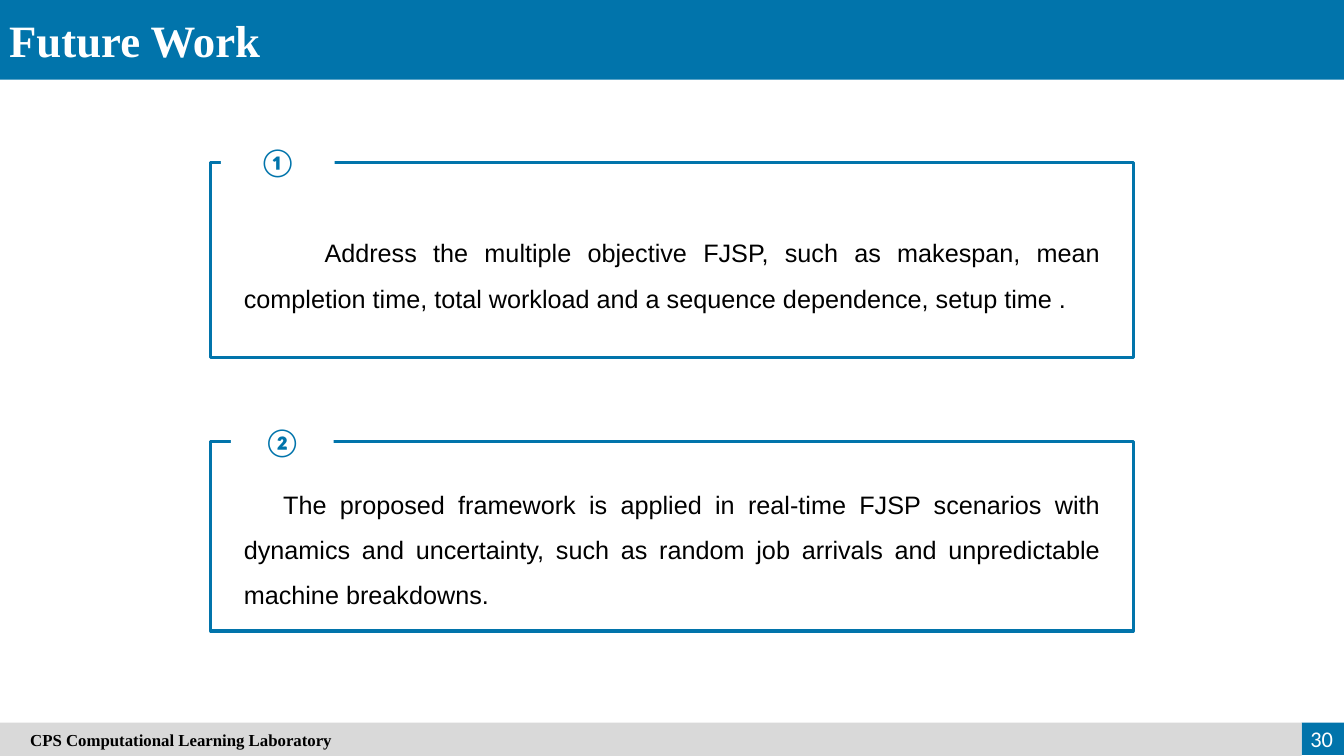
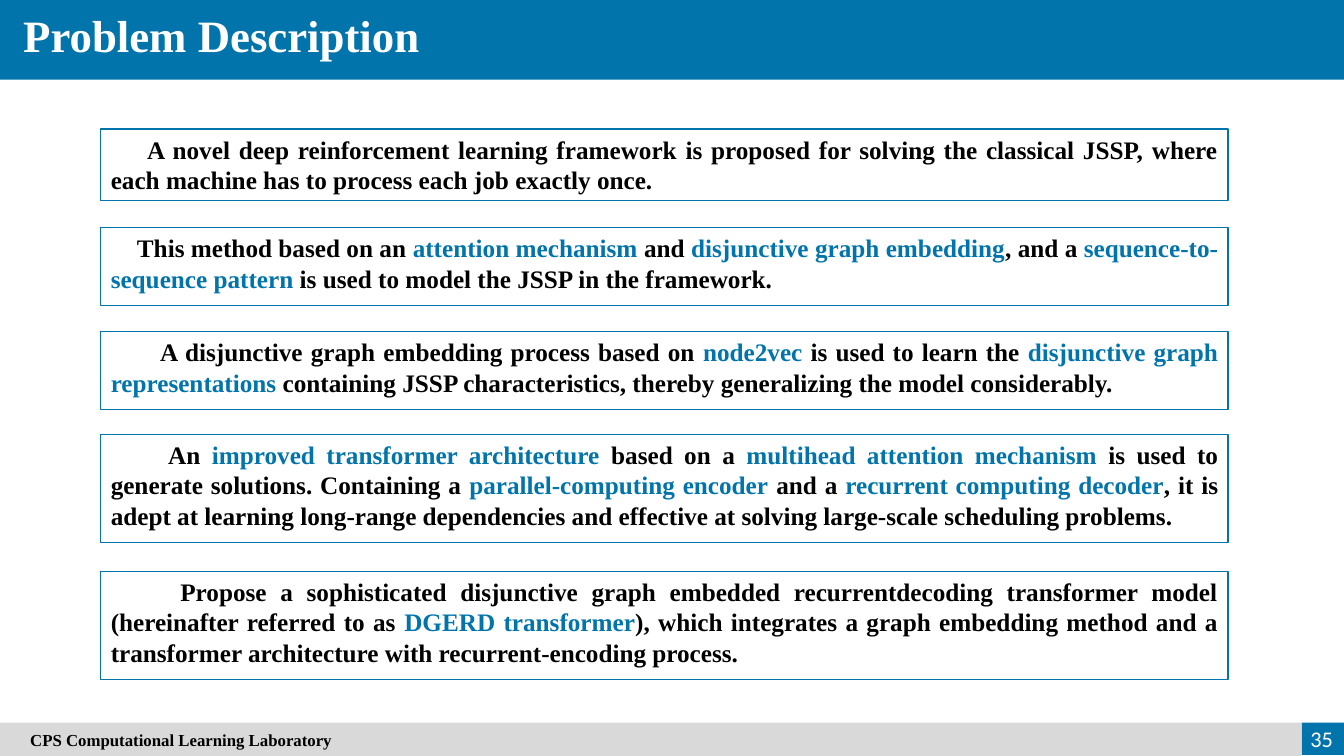
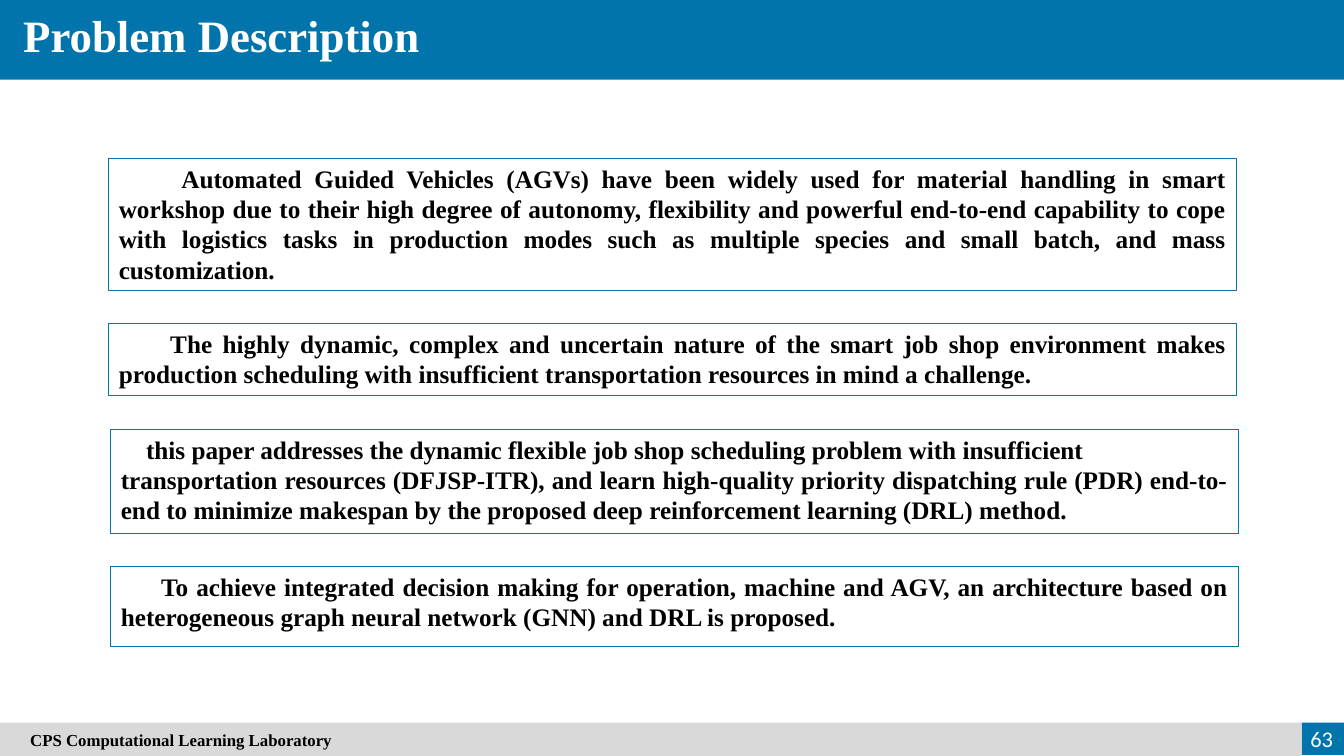
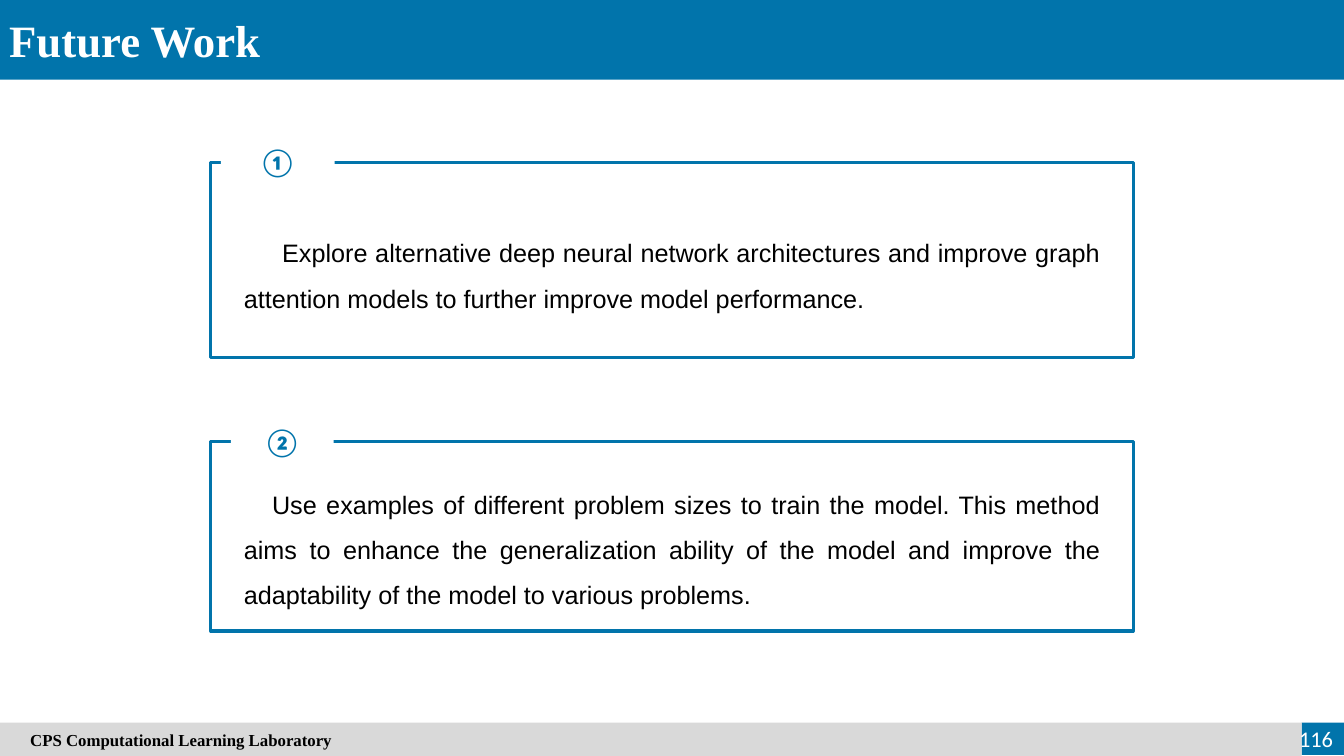
"""Build four slides on shop scheduling: future work and problem descriptions."""
from dataclasses import dataclass

from pptx import Presentation
from pptx.dml.color import RGBColor
from pptx.enum import shapes, text
from pptx.util import Inches, Pt

BLUE, GREY, WHITE, BLACK = "0174AB", "D9D9D9", "FFFFFF", "000000"
SERIF, SANS, DIGITS = "Times New Roman", "Arial", "Calibri"
ALIGN, ANCHOR = text.PP_ALIGN, text.MSO_ANCHOR
FOOTER = "CPS Computational Learning Laboratory"


@dataclass
class Box:
    """Place and size in inches."""
    left: float
    top: float
    width: float
    height: float

    def emu(self) -> tuple:
        """Return the four lengths for a shape call."""
        return tuple(Inches(v) for v in (self.left, self.top, self.width, self.height))


@dataclass
class Style:
    """Look of a paragraph."""
    size: int
    font: str
    color: str = BLACK
    bold: bool = False
    align: ALIGN = ALIGN.JUSTIFY
    spacing: float = 1.0


@dataclass
class Frame:
    """Outlined frame with a numbered label set into its top edge."""
    label: str
    outline: Box
    tag: Box
    body: Box


@dataclass
class Item:
    """Text with its first-line indent; *stars* mark accented words."""
    indent: float
    words: str


@dataclass
class Note:
    """Outlined note with its text."""
    left: float
    top: float
    height: float
    item: Item


TITLE = Style(32, SERIF, WHITE, True)
LABEL = Style(20, DIGITS, BLUE, True, ALIGN.CENTER)
BODY = Style(18, SANS, spacing=1.5)
NOTE = Style(18, SERIF, bold=True)
FOOT = Style(12, SERIF, bold=True, align=ALIGN.LEFT)
PAGE = Style(16, DIGITS, WHITE, align=ALIGN.RIGHT)

FRAMES = [
    Frame("①", Box(2.09, 1.61, 9.15, 1.94), Box(2.19, 1.33, 1.13, 0.55), Box(2.32, 2.16, 8.69, 0.95)),
    Frame("②", Box(2.09, 4.38, 9.15, 1.88), Box(2.29, 4.1, 1.02, 0.55), Box(2.32, 4.65, 8.69, 1.41)),
]

FRAMEWORK_PLANS = [
    Item(0.8, "Address the multiple objective FJSP, such as makespan, mean completion time, "
              "total workload and a sequence dependence, setup time ."),
    Item(0.39, "The proposed framework is applied in real-time FJSP scenarios with dynamics and "
               "uncertainty, such as random job arrivals and unpredictable machine breakdowns."),
]
MODEL_PLANS = [
    Item(0.38, "Explore alternative deep neural network architectures and improve graph "
               "attention models to further improve model performance."),
    Item(0.28, "Use examples of different problem sizes to train the model. This method aims to "
               "enhance the generalization ability of the model and improve the adaptability "
               "of the model to various problems."),
]
TRANSFORMER_NOTES = [
    Note(1, 1.28, 0.71, Item(0.36, "A novel deep reinforcement learning framework is proposed for "
         "solving the classical JSSP, where each machine has to process each job exactly once.")),
    Note(1, 2.26, 0.77, Item(0.26, "This method based on an *attention mechanism* and *disjunctive "
         "graph embedding*, and a *sequence-to-sequence pattern* is used to model the JSSP in the "
         "framework.")),
    Note(1, 3.29, 0.77, Item(0.49, "A disjunctive graph embedding process based on *node2vec* is used "
         "to learn the *disjunctive graph representations* containing JSSP characteristics, thereby "
         "generalizing the model considerably.")),
    Note(1, 4.31, 1.07, Item(0.57, "An *improved transformer architecture* based on a *multihead "
         "attention mechanism* is used to generate solutions. Containing a *parallel-computing "
         "encoder* and a *recurrent computing decoder*, it is adept at learning long-range "
         "dependencies and effective at solving large-scale scheduling problems.")),
    Note(1, 5.67, 1.07, Item(0.69, "Propose a sophisticated disjunctive graph embedded "
         "recurrentdecoding transformer model (hereinafter referred to as *DGERD transformer*), "
         "which integrates a graph embedding method and a transformer architecture with "
         "recurrent-encoding process.")),
]
VEHICLE_NOTES = [
    Note(1.08, 1.57, 1.31, Item(0.62, "Automated Guided Vehicles (AGVs) have been widely used for "
         "material handling in smart workshop due to their high degree of autonomy, flexibility and "
         "powerful end-to-end capability to cope with logistics tasks in production modes such as "
         "multiple species and small batch, and mass customization.")),
    Note(1.08, 3.21, 0.71, Item(0.51, "The highly dynamic, complex and uncertain nature of the smart "
         "job shop environment makes production scheduling with insufficient transportation "
         "resources in mind a challenge.")),
    Note(1.1, 4.26, 1.03, Item(0.25, "this paper addresses the dynamic flexible job shop scheduling "
         "problem with insufficient\ntransportation resources (DFJSP-ITR), and learn high-quality "
         "priority dispatching rule (PDR) end-to-end to minimize makespan by the proposed deep "
         "reinforcement learning (DRL) method.")),
    Note(1.1, 5.62, 0.79, Item(0.4, "To achieve integrated decision making for operation, machine and "
         "AGV, an architecture based on heterogeneous graph neural network (GNN) and DRL is "
         "proposed.")),
]


def rgb(color: str) -> RGBColor:
    """Turn a hex string into a colour."""
    return RGBColor.from_string(color)


def write(sp, item: Item, style: Style, anchor: ANCHOR = ANCHOR.TOP) -> None:
    """Fill a shape with styled paragraphs, one per line of the item."""
    tf = sp.text_frame
    tf.word_wrap = True
    tf.auto_size = text.MSO_AUTO_SIZE.NONE
    tf.vertical_anchor = anchor
    for i, line in enumerate(item.words.split("\n")):
        p = tf.add_paragraph() if i else tf.paragraphs[0]
        p.alignment = style.align
        p.line_spacing = style.spacing
        if item.indent and not i:
            p._p.get_or_add_pPr().set("indent", str(Inches(item.indent)))
        p.font.size, p.font.name, p.font.bold = Pt(style.size), style.font, style.bold
        for j, part in enumerate(line.split("*")):
            if part:
                r = p.add_run()
                r.text = part
                r.font.color.rgb = rgb(BLUE if j % 2 else style.color)


def add_rect(s, box: Box, fill: str = "", line: float = 0):
    """Add a rectangle with an optional fill and blue outline."""
    sp = s.shapes.add_shape(shapes.MSO_SHAPE.RECTANGLE, *box.emu())
    sp.shadow.inherit = False
    if fill:
        sp.fill.solid()
        sp.fill.fore_color.rgb = rgb(fill)
    else:
        sp.fill.background()
    if line:
        sp.line.color.rgb = rgb(BLUE)
        sp.line.width = Pt(line)
    else:
        sp.line.fill.background()
    return sp


def add_slide(prs, title: str, left: float, top: float, page: int):
    """Add a slide with the title band, footer and page number."""
    s = prs.slides.add_slide(prs.slide_layouts[5])
    sp = s.shapes.title
    sp.left, sp.top, sp.width, sp.height = Box(left, top, 5.37, 0.64).emu()
    write(sp, Item(0, title), TITLE)
    band = add_rect(s, Box(0, 0, 13.33, 0.79), BLUE)
    sp._element.addprevious(band._element)
    add_rect(s, Box(12.91, 7.17, 0.42, 0.32), BLUE)
    foot = add_rect(s, Box(0, 7.17, 12.91, 0.33), GREY)
    foot.text_frame.margin_left = Inches(0.3)
    write(foot, Item(0, FOOTER), FOOT, ANCHOR.MIDDLE)
    number = s.shapes.add_textbox(*Box(12.69, 7.13, 0.63, 0.4).emu())
    write(number, Item(0, str(page)), PAGE, ANCHOR.MIDDLE)
    return s


def add_future_work(prs, page: int, plans: list[Item]) -> None:
    """Add a slide of numbered frames, one per plan."""
    s = add_slide(prs, "Future Work", -0.01, 0.08, page)
    for frame, plan in zip(FRAMES, plans):
        add_rect(s, frame.outline, line=2.25)
        write(add_rect(s, frame.tag, WHITE), Item(0, frame.label), LABEL, ANCHOR.MIDDLE)
        write(s.shapes.add_textbox(*frame.body.emu()), plan, BODY)


def add_problem(prs, page: int, notes: list[Note]) -> None:
    """Add a slide of outlined notes."""
    s = add_slide(prs, "Problem Description", 0.13, 0.03, page)
    for note in notes:
        sp = add_rect(s, Box(note.left, note.top, 11.18, note.height), line=0.75)
        write(sp, note.item, NOTE)


def main() -> None:
    """Build and save the presentation."""
    prs = Presentation()
    prs.slide_width, prs.slide_height = Inches(13.33), Inches(7.5)
    add_future_work(prs, 30, FRAMEWORK_PLANS)
    add_problem(prs, 35, TRANSFORMER_NOTES)
    add_problem(prs, 63, VEHICLE_NOTES)
    add_future_work(prs, 116, MODEL_PLANS)
    prs.save("out.pptx")


if __name__ == "__main__":
    main()
